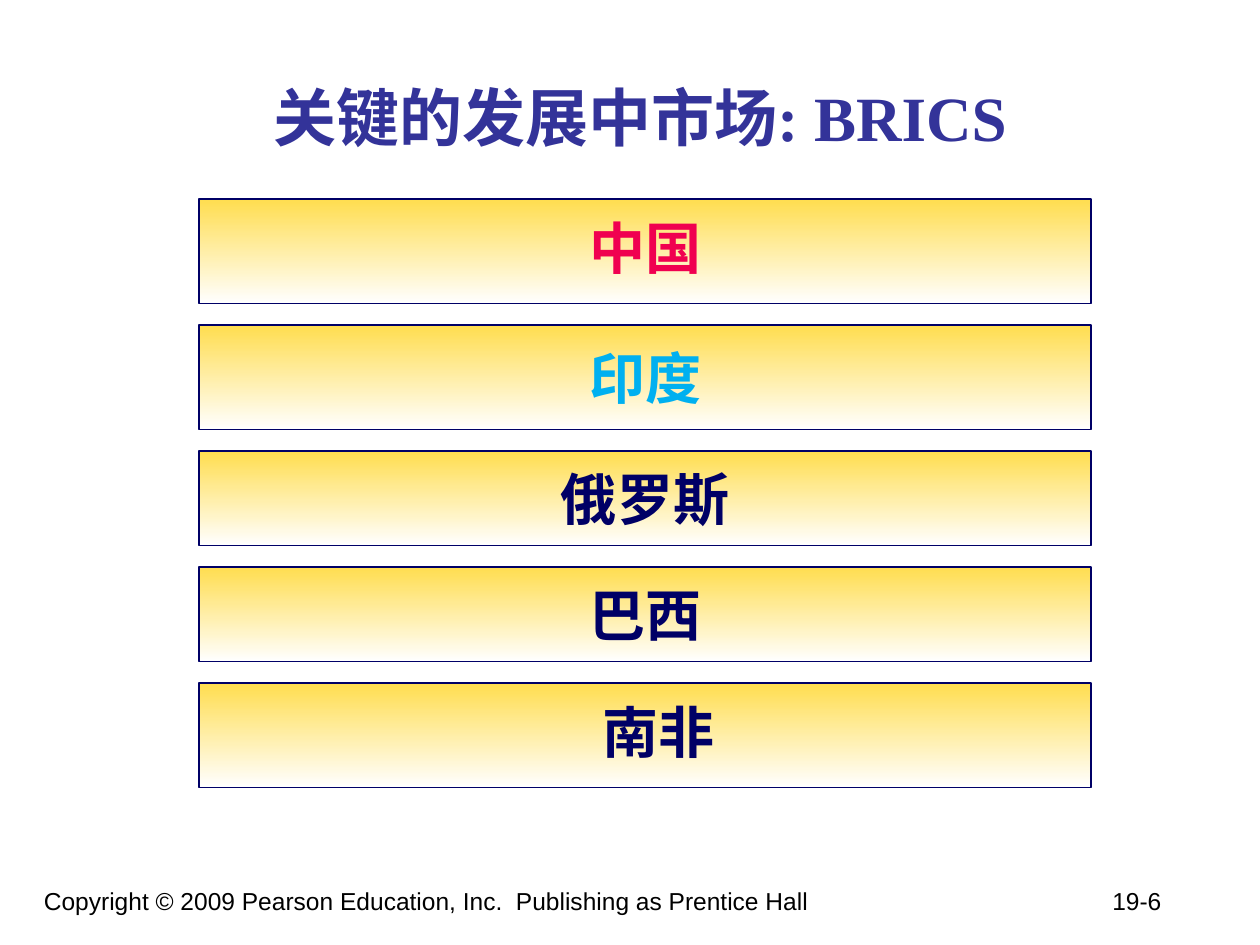
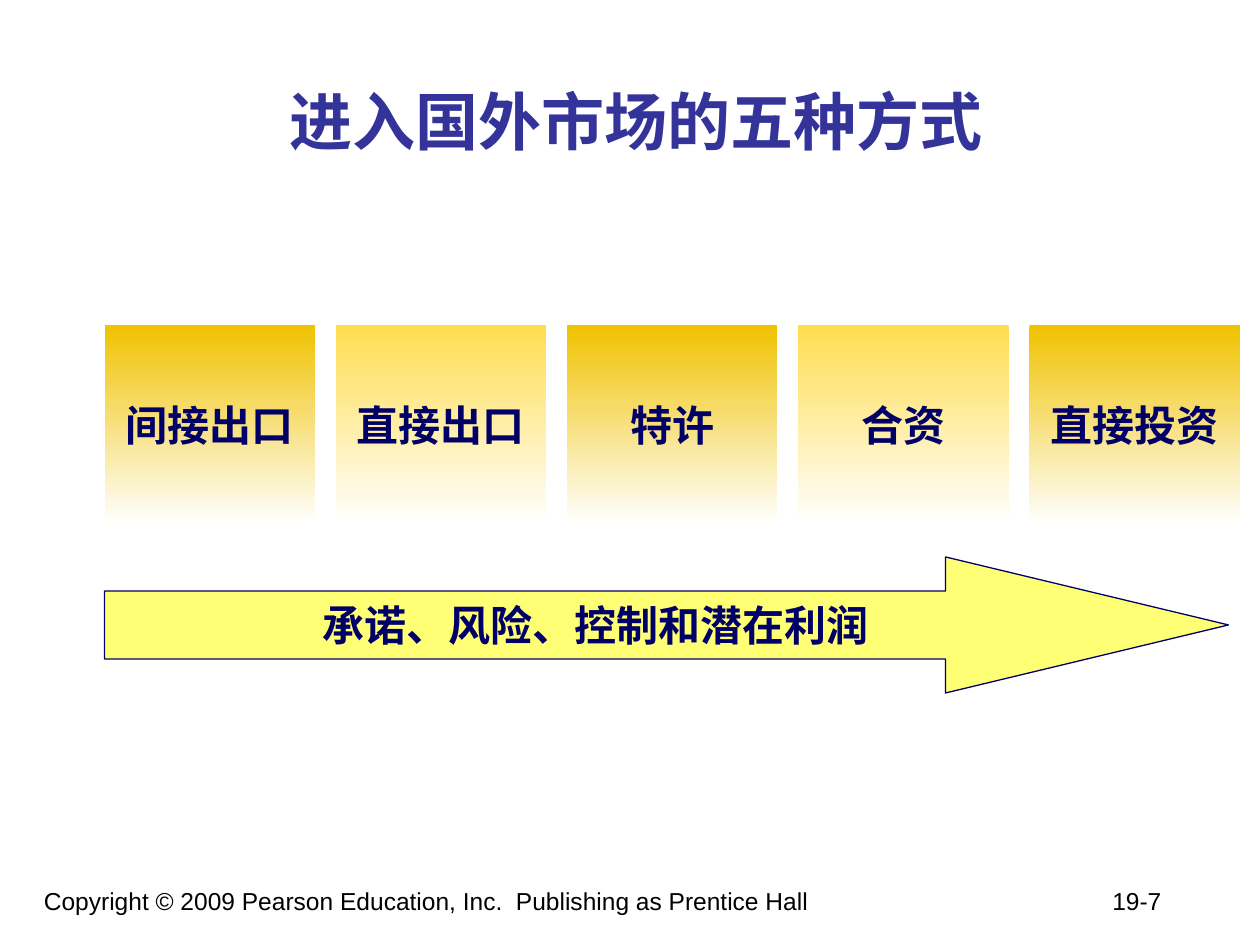
"""Build two slides on developing markets and ways of entering foreign markets."""
from dataclasses import dataclass

from lxml.etree import SubElement
from pptx import Presentation
from pptx.dml.color import RGBColor
from pptx.enum.shapes import MSO_SHAPE
from pptx.enum.text import MSO_ANCHOR, MSO_AUTO_SIZE, PP_ALIGN
from pptx.oxml.ns import qn
from pptx.util import Inches, Pt

COLORS = {
    "title": "333399",
    "navy": "000066",
    "red": "F00050",
    "sky": "00B0F0",
    "gold": "F0C200",
    "yellow": "FFDD4F",
    "lemon": "FFFF75",
    "white": "FFFFFF",
    "black": "000000",
}
CJK_FONT = "Noto Sans CJK SC"
COPYRIGHT = "Copyright © 2009 Pearson Education, Inc.  Publishing as Prentice Hall"
BAR_TOP, BAR_GAP = 1.58, 0.17
FIRST_MODE_LEFT, LAST_MODE_LEFT = 0.83, 8.17


@dataclass(frozen=True)
class Area:
    left: float
    top: float
    width: float
    height: float

    def lengths(self) -> tuple:
        return tuple(Inches(n) for n in (self.left, self.top, self.width, self.height))


@dataclass(frozen=True)
class Market:
    name: str
    height: float
    color: str = "navy"
    line_spacing: float = 1.0
    left_inset: float = 0.1


MARKETS = [
    Market("中国", 0.83, "red", 0.9),
    Market("印度", 0.83, "sky"),
    Market("俄罗斯", 0.75),
    Market("巴西", 0.75),
    Market("南非", 0.83, line_spacing=0.9, left_inset=0.31),
]
ENTRY_MODES = ["间接出口", "直接出口", "特许", "合资", "直接投资"]


def rgb(name: str) -> RGBColor:
    """Look up a named colour."""
    return RGBColor.from_string(COLORS[name])


def style(para, size: float, color: str, font: str = "Arial", bold: bool = True) -> None:
    """Set the paragraph's Latin and East Asian fonts, size and colour."""
    para.font.name = font
    para.font.size = Pt(size)
    para.font.bold = bold
    para.font.color.rgb = rgb(color)
    SubElement(para._p.pPr.find(qn("a:defRPr")), qn("a:ea"), typeface=CJK_FONT)


def add_page(deck, title: str, area: Area, font: str, number: str):
    """Add a page with its title and the shared footer."""
    page = deck.slides.add_slide(deck.slide_layouts[5])
    heading = page.shapes.title
    heading.left, heading.top, heading.width, heading.height = area.lengths()
    frame = heading.text_frame
    frame.text = title
    frame.auto_size = MSO_AUTO_SIZE.NONE
    frame.vertical_anchor = MSO_ANCHOR.MIDDLE
    para = frame.paragraphs[0]
    para.alignment = PP_ALIGN.CENTER
    style(para, 36, "title", font)

    footer = page.shapes.add_textbox(*Area(0.25, 6.98, 9.33, 0.52).lengths())
    footer.text_frame.word_wrap = True
    para = footer.text_frame.paragraphs[0]
    para.text = f"{COPYRIGHT}\t{number}"
    tabs = SubElement(para._p.get_or_add_pPr(), qn("a:tabLst"))
    SubElement(tabs, qn("a:tab"), pos=str(Inches(8.87)), algn="r")
    style(para, 14, "black", bold=False)
    return page


def add_label(page, kind: MSO_SHAPE, area: Area, text: str, size: float,
              color: str = "navy", outlined: bool = True):
    """Add a shape with a centred bold label."""
    shape = page.shapes.add_shape(kind, *area.lengths())
    shape.shadow.inherit = False
    if outlined:
        shape.line.color.rgb = rgb("navy")
        shape.line.width = Pt(0.75)
    else:
        shape.line.fill.background()
    frame = shape.text_frame
    frame.word_wrap = True
    frame.vertical_anchor = MSO_ANCHOR.MIDDLE
    para = frame.paragraphs[0]
    para.text = text
    para.alignment = PP_ALIGN.CENTER
    style(para, size, color)
    return shape


def fade(shape, color: str) -> None:
    """Fill the shape with a colour fading downwards to white."""
    shape.fill.gradient()
    shape.fill.gradient_angle = 270
    for stop, name, position in zip(shape.fill.gradient_stops, (color, "white"), (0, 1)):
        stop.color.rgb = rgb(name)
        stop.position = position


def build_markets(deck) -> None:
    """Stack one bar per key developing market."""
    page = add_page(deck, "关键的发展中市场: BRICS", Area(0.83, 0.3, 8.5, 1.25),
                    "Times New Roman", "19-6")
    top = BAR_TOP
    for market in MARKETS:
        bar = add_label(page, MSO_SHAPE.RECTANGLE, Area(1.58, top, 7.08, market.height),
                        market.name, 32, market.color)
        fade(bar, "yellow")
        bar.text_frame.margin_left = Inches(market.left_inset)
        bar.text_frame.paragraphs[0].line_spacing = market.line_spacing
        top += market.height + BAR_GAP


def build_entry_modes(deck) -> None:
    """Line up the entry modes above the arrow of rising commitment."""
    page = add_page(deck, "进入国外市场的五种方式", Area(1.17, 0.33, 7.75, 1.25),
                    CJK_FONT, "19-7")
    pitch = (LAST_MODE_LEFT - FIRST_MODE_LEFT) / (len(ENTRY_MODES) - 1)
    for index, mode in enumerate(ENTRY_MODES):
        area = Area(FIRST_MODE_LEFT + index * pitch, 2.58, 1.67, 1.58)
        box = add_label(page, MSO_SHAPE.RECTANGLE, area, mode, 24, outlined=False)
        fade(box, "yellow" if index % 2 else "gold")

    arrow = add_label(page, MSO_SHAPE.RIGHT_ARROW, Area(0.83, 4.42, 8.92, 1.08),
                      "承诺、风险、控制和潜在利润", 24)
    arrow.adjustments[0] = 0.5
    arrow.adjustments[1] = 2.08
    arrow.fill.solid()
    arrow.fill.fore_color.rgb = rgb("lemon")


def main() -> None:
    """Build and save the deck."""
    deck = Presentation()
    deck.slide_width, deck.slide_height = Inches(10), Inches(7.5)
    build_markets(deck)
    build_entry_modes(deck)
    deck.save("out.pptx")


if __name__ == "__main__":
    main()
